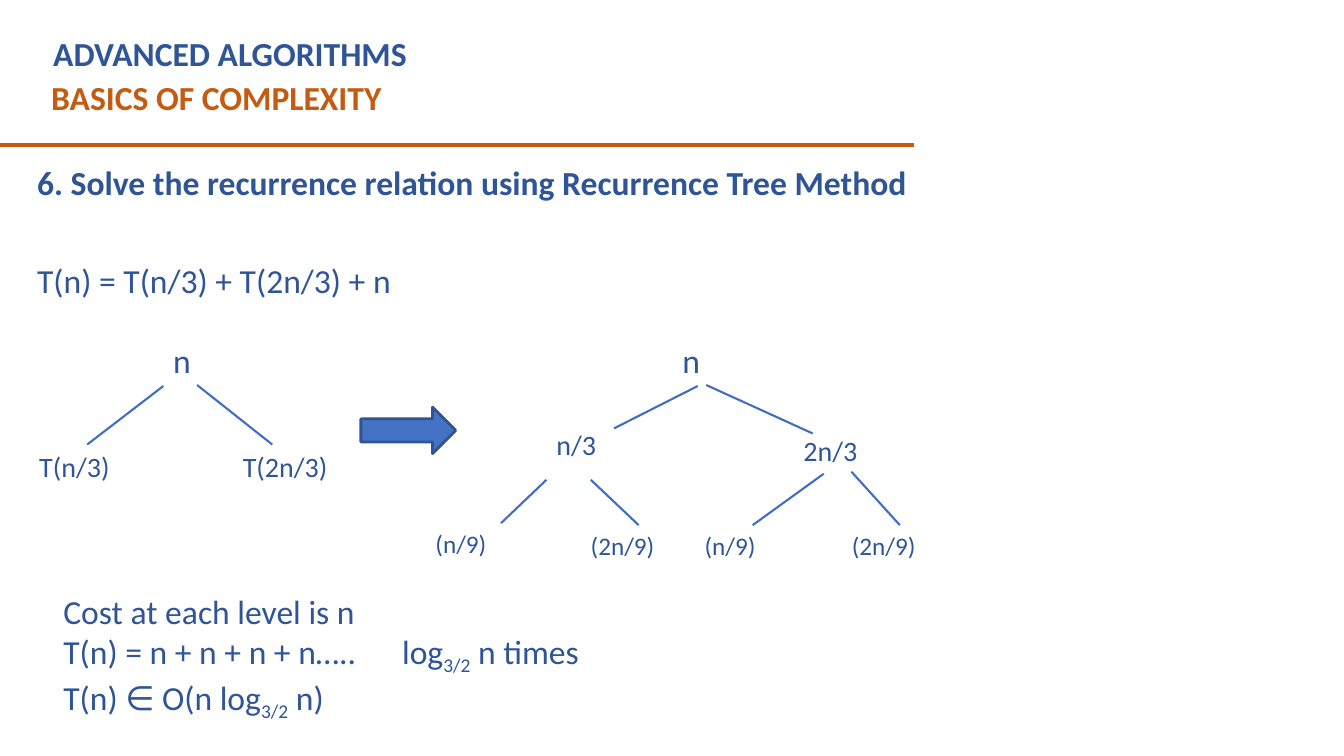
from dataclasses import dataclass
from typing import Optional

from lxml import etree
from pptx import Presentation
from pptx.dml.color import RGBColor
from pptx.enum.shapes import MSO_CONNECTOR, MSO_SHAPE
from pptx.enum.text import MSO_ANCHOR, PP_ALIGN
from pptx.oxml.ns import qn
from pptx.util import Emu, Pt

STRAIGHT = MSO_CONNECTOR.STRAIGHT
ARROW = MSO_SHAPE.RIGHT_ARROW
TOP, MIDDLE = MSO_ANCHOR.TOP, MSO_ANCHOR.MIDDLE
LEFT, JUSTIFY = PP_ALIGN.LEFT, PP_ALIGN.JUSTIFY
TOP_SIDE, LOW_SIDE = 0, 2

ORANGE = RGBColor(0xC5, 0x5A, 0x11)
NAVY = RGBColor(0x2F, 0x55, 0x97)
BRANCH = RGBColor(0x3F, 0x6E, 0xC2)
BLUE = RGBColor(0x44, 0x72, 0xC4)
EDGING = RGBColor(0x32, 0x54, 0x91)
FONT = "Calibri"
SCALE = 9144  # EMU in one px, 100 px to the inch


@dataclass
class Line:
    """One paragraph; text between bars is a subscript."""
    text: str
    bold: bool = False
    after: float = 0
    tab: int = 0


@dataclass
class Node:
    text: str
    x: int
    y: int
    w: int = 115
    h: int = 40
    size: int = 18


@dataclass
class Edge:
    """A branch; head and tail are the nodes it is joined to."""
    x1: int
    y1: int
    x2: int
    y2: int
    head: Optional[int] = None
    tail: Optional[int] = None


def px(n: int) -> Emu:
    return Emu(n * SCALE)


def write(shapes, box: tuple, lines: list, *, size: int = 24,
          color: RGBColor = NAVY, align=LEFT, anchor=TOP,
          inset: int = 5, indent: int = 0):
    shape = shapes.add_textbox(*map(px, box))
    frame = shape.text_frame
    frame.word_wrap = True
    frame.vertical_anchor = anchor
    frame.margin_left = frame.margin_right = px(10)
    frame.margin_top = frame.margin_bottom = px(inset)
    for i, line in enumerate(lines):
        para = frame.add_paragraph() if i else frame.paragraphs[0]
        para.alignment = align
        para.space_after = Pt(line.after)
        props = para._p.get_or_add_pPr()
        if indent:
            props.set("marL", str(px(indent)))
            props.set("indent", "0")
        if line.tab:
            stops = etree.SubElement(props, qn("a:tabLst"))
            etree.SubElement(stops, qn("a:tab"), pos=str(px(line.tab)), algn="l")
        for j, part in enumerate(line.text.split("|")):
            run = para.add_run()
            run.text = part
            font = run.font
            font.name, font.size, font.bold = FONT, Pt(size), line.bold
            font.color.rgb = color
            if j % 2:
                run._r.get_or_add_rPr().set("baseline", "-25000")
    return shape


def link(shapes, edge: Edge, color: RGBColor, width: float):
    line = shapes.add_connector(
        STRAIGHT, px(edge.x1), px(edge.y1), px(edge.x2), px(edge.y2))
    line.line.color.rgb = color
    line.line.width = Pt(width)
    etree.SubElement(line._element.spPr, qn("a:effectLst"))
    return line


def tree(slide, nodes: list, edges: list) -> None:
    group = slide.shapes.add_group_shape().shapes
    boxes = [write(group, (n.x, n.y, n.w, n.h), [Line(n.text)], size=n.size)
             for n in nodes]
    for edge in edges:
        line = link(group, edge, BRANCH, 1.5)
        if edge.head is not None:
            line.begin_connect(boxes[edge.head], LOW_SIDE)
        if edge.tail is not None:
            line.end_connect(boxes[edge.tail], TOP_SIDE)


FIRST = [
    Node("n", 162, 332, 67, 50, 24),
    Node("T(n/3)", 29, 441, h=43, size=20),
    Node("T(2n/3)", 231, 441, h=76, size=20),
]
FIRST_EDGES = [
    Edge(162, 383, 87, 441, tail=1),
    Edge(196, 383, 270, 441, head=0),
]
SECOND = [
    Node("n", 667, 332, 67, 50, 24),
    Node("n/3", 542, 419, h=43, size=20),
    Node("2n/3", 787, 425, h=43, size=20),
    Node("(n/9)", 422, 519),
    Node("(2n/9)", 576, 521),
    Node("(n/9)", 689, 521),
    Node("(2n/9)", 835, 521),
]
SECOND_EDGES = [
    Edge(692, 383, 609, 425),
    Edge(701, 383, 806, 430, head=0),
    Edge(542, 476, 497, 519),
    Edge(586, 476, 634, 521, tail=4),
    Edge(817, 470, 747, 521, tail=5),
    Edge(844, 469, 892, 521, head=2, tail=6),
]


def main() -> None:
    deck = Presentation()
    deck.slide_width, deck.slide_height = px(1333), px(750)
    slide = deck.slides.add_slide(deck.slide_layouts[6])
    shapes = slide.shapes

    # Heading and rule
    write(shapes, (41, 71, 875, 50), [Line("BASICS OF COMPLEXITY", True)],
          color=ORANGE)
    link(shapes, Edge(-1, 144, 907, 144), ORANGE, 3)
    write(shapes, (43, 28, 820, 50), [Line("ADVANCED ALGORITHMS", True)])

    # Question
    write(shapes, (17, 141, 907, 177), [
        Line("6. Solve the recurrence relation using Recurrence Tree Method",
             True, after=41.3),
        Line("T(n) = T(n/3) + T(2n/3) + n", after=6),
    ], align=JUSTIFY, anchor=MIDDLE, inset=0, indent=10)

    # Recurrence trees, with the arrow between them
    tree(slide, FIRST, FIRST_EDGES)
    tree(slide, SECOND, SECOND_EDGES)
    arrow = shapes.add_shape(ARROW, px(358), px(404), px(94), px(46))
    arrow.shadow.inherit = False
    arrow.fill.solid()
    arrow.fill.fore_color.rgb = BLUE
    arrow.line.color.rgb = EDGING
    arrow.line.width = Pt(2)

    # Cost
    write(shapes, (53, 581, 813, 141), [
        Line("Cost at each level is n"),
        Line("T(n) = n + n + n + n…..\tlog|3/2| n times", tab=336),
        Line("T(n) ∈ O(n log|3/2| n)"),
    ])

    deck.save("out.pptx")


if __name__ == "__main__":
    main()
